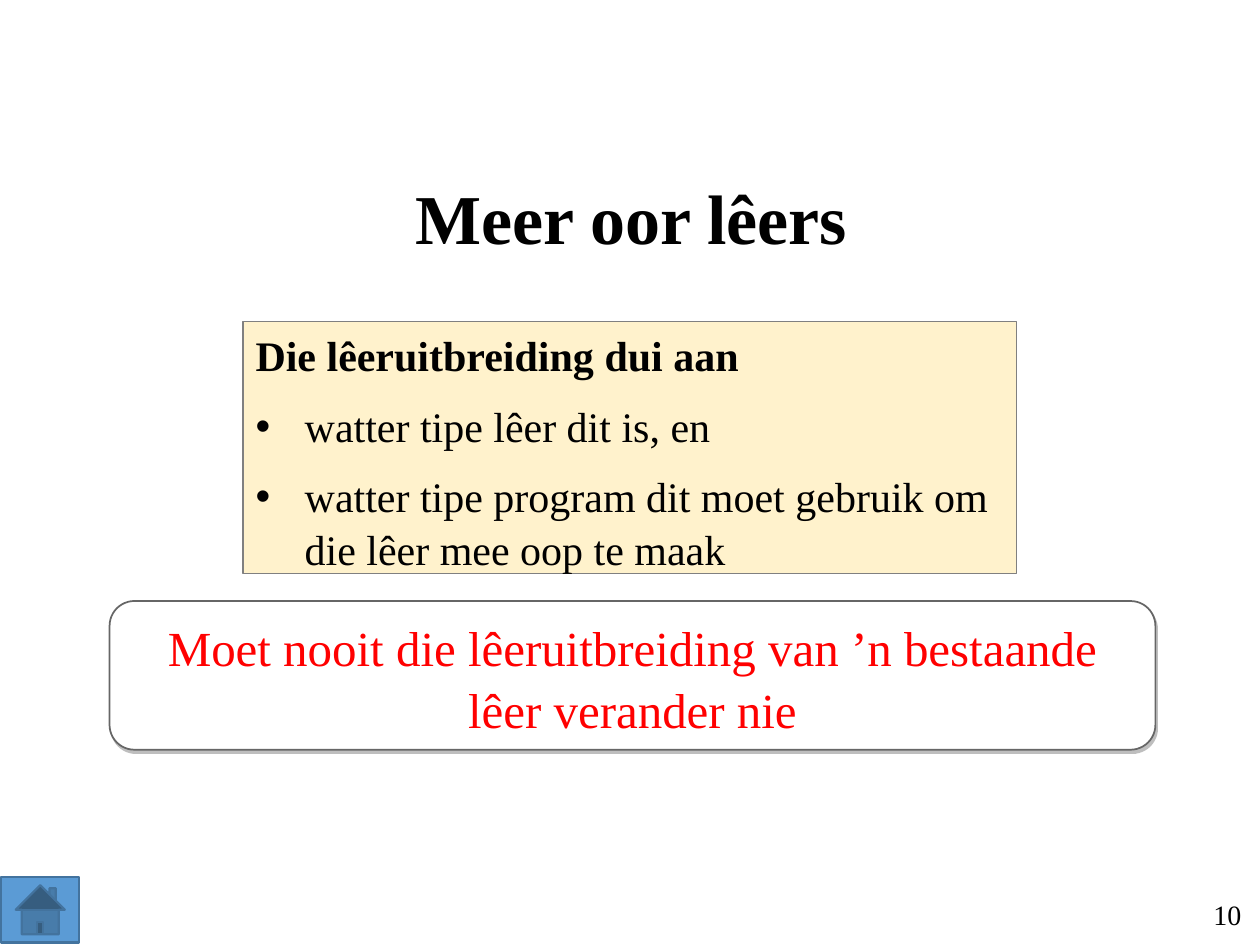
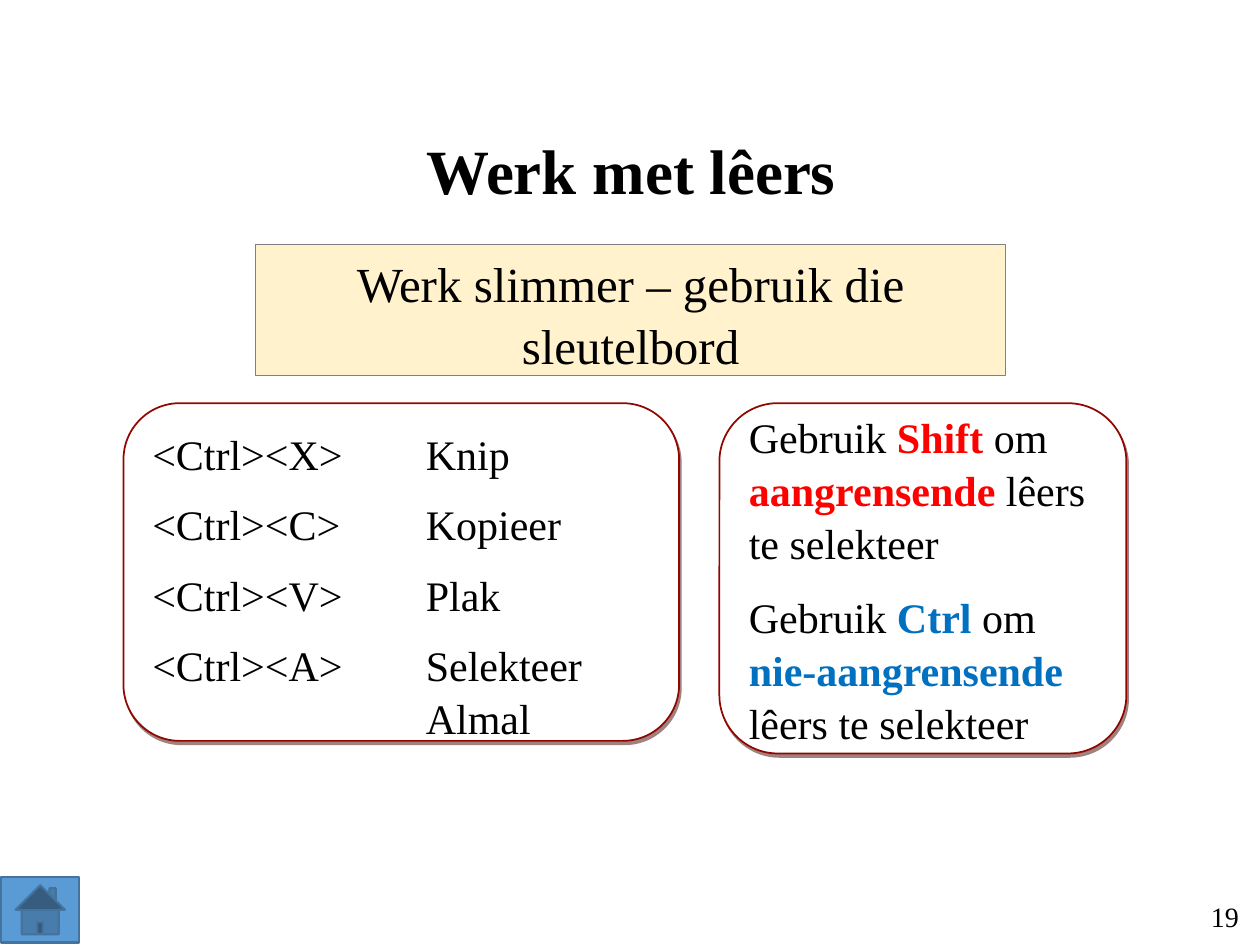
from dataclasses import dataclass

import lxml.etree
import pptx
import pptx.dml.color
import pptx.enum.shapes
import pptx.enum.text
import pptx.oxml.ns
import pptx.util

Inches = pptx.util.Inches
Pt = pptx.util.Pt
ShapeKind = pptx.enum.shapes.MSO_SHAPE
Align = pptx.enum.text.PP_ALIGN
Anchor = pptx.enum.text.MSO_ANCHOR


@dataclass(frozen=True)
class Theme:
    font: str = "Times New Roman"
    text: str = "000000"
    warning: str = "FF0000"
    accent: str = "0070C0"
    white: str = "FFFFFF"
    cream: str = "FFF2CC"
    cream_line: str = "808080"
    gray_line: str = "666666"
    gray_shadow: str = "7F7F7F"
    maroon_line: str = "900700"
    maroon_shadow: str = "410600"
    button: str = "5B9BD5"
    button_line: str = "43739E"
    body_size: int = 24
    banner_size: int = 28
    number_size: int = 16
    line_spacing: float = 1.05
    gap: int = 10
    wide_gap: int = 12


THEME = Theme()


def rgb(value):
    return pptx.dml.color.RGBColor.from_string(value)


def add_element(parent, tag, **attributes):
    element = lxml.etree.SubElement(parent, pptx.oxml.ns.qn(tag))
    for name, value in attributes.items():
        element.set(name, str(value))
    return element


def format_run(run, size, color=THEME.text, bold=False):
    run.font.name = THEME.font
    run.font.size = Pt(size)
    run.font.bold = bold
    run.font.color.rgb = rgb(color)


def add_bullet(paragraph):
    properties = paragraph._p.get_or_add_pPr()
    indent = Inches(0.39)
    properties.set("marL", str(indent))
    properties.set("indent", str(-indent))
    add_element(properties, "a:buFont", typeface="Arial")
    add_element(properties, "a:buChar", char="•")


def write_paragraphs(shape, paragraphs, size, align=Align.LEFT, anchor=Anchor.TOP,
                     gap=THEME.gap, color=THEME.text, bullets_from=None):
    text_frame = shape.text_frame
    text_frame.word_wrap = True
    text_frame.vertical_anchor = anchor
    for index, spans in enumerate(paragraphs):
        paragraph = text_frame.paragraphs[0] if index == 0 else text_frame.add_paragraph()
        paragraph.alignment = align
        paragraph.line_spacing = THEME.line_spacing
        paragraph.space_after = Pt(gap)
        if bullets_from is not None and index >= bullets_from:
            add_bullet(paragraph)
        if isinstance(spans, str):
            spans = [(spans, color, False)]
        for text, span_color, bold in spans:
            run = paragraph.add_run()
            run.text = text
            format_run(run, size, span_color, bold)


def add_label(slide, box, text, size, align, bold=False):
    shape = slide.shapes.add_textbox(*map(Inches, box))
    text_frame = shape.text_frame
    text_frame.word_wrap = True
    text_frame.vertical_anchor = Anchor.MIDDLE
    text_frame.text = text
    paragraph = text_frame.paragraphs[0]
    paragraph.alignment = align
    format_run(paragraph.runs[0], size, bold=bold)


def add_panel(slide, kind, box, fill, line, line_width):
    shape = slide.shapes.add_shape(kind, *map(Inches, box))
    shape.shadow.inherit = False
    shape.fill.solid()
    shape.fill.fore_color.rgb = rgb(fill)
    shape.line.color.rgb = rgb(line)
    shape.line.width = Pt(line_width)
    return shape


def add_cream_box(slide, box):
    return add_panel(slide, ShapeKind.RECTANGLE, box, THEME.cream, THEME.cream_line, 0.75)


def add_rounded_box(slide, box, line, shadow_color):
    shape = add_panel(slide, ShapeKind.ROUNDED_RECTANGLE, box, THEME.white, line, 1)
    effects = shape._element.spPr.find(pptx.oxml.ns.qn("a:effectLst"))
    shadow = add_element(effects, "a:outerShdw", blurRad=0, dist=Pt(2.2),
                         dir=63 * 60000, algn="ctr", rotWithShape=0)
    color = add_element(shadow, "a:srgbClr", val=shadow_color)
    add_element(color, "a:alpha", val=50000)
    return shape


def set_columns(shape, count, gap):
    properties = shape.text_frame._txBody.bodyPr
    properties.set("numCol", str(count))
    properties.set("spcCol", str(Inches(gap)))


def add_slide(presentation, title, title_height, title_size, number, number_box):
    slide = presentation.slides.add_slide(presentation.slide_layouts[6])
    add_label(slide, (1.29, 1, 7.44, title_height), title, title_size, Align.CENTER, bold=True)
    add_label(slide, number_box, number, THEME.number_size, Align.RIGHT)
    add_panel(slide, ShapeKind.ACTION_BUTTON_HOME, (0.01, 6.96, 0.62, 0.52),
              THEME.button, THEME.button_line, 1.25)
    return slide


def build_extension_slide(presentation):
    slide = add_slide(presentation, "Meer oor lêers", 1.43, 40, "10", (9.3, 7.1, 0.65, 0.32))
    warning = add_rounded_box(slide, (0.87, 4.77, 8.3, 1.18), THEME.gray_line, THEME.gray_shadow)
    write_paragraphs(
        warning, ["Moet nooit die lêeruitbreiding van ’n bestaande lêer verander nie"],
        THEME.banner_size, Align.CENTER, color=THEME.warning)
    extension = add_cream_box(slide, (1.93, 2.55, 6.14, 2))
    write_paragraphs(
        extension,
        [[("Die lêeruitbreiding dui aan", THEME.text, True)],
         "watter tipe lêer dit is, en",
         "watter tipe program dit moet gebruik om die lêer mee oop te maak"],
        THEME.body_size, bullets_from=1)


def selection_tip(key, kind, color, ending):
    return [("Gebruik ", THEME.text, False), (key, color, True), (" om ", THEME.text, False),
            (kind, color, True), (ending, THEME.text, False)]


def build_keyboard_slide(presentation):
    slide = add_slide(presentation, "Werk met lêers", 0.69, 36, "19", (9.5, 7.12, 0.43, 0.31))
    banner = add_cream_box(slide, (2.03, 1.94, 5.95, 1.04))
    write_paragraphs(banner, ["Werk slimmer – gebruik die sleutelbord"],
                     THEME.banner_size, Align.CENTER)

    shortcuts = add_rounded_box(slide, (0.98, 3.2, 4.41, 2.68),
                                THEME.maroon_line, THEME.maroon_shadow)
    set_columns(shortcuts, 2, 0.39)
    keys = [f"<Ctrl><{letter}>" for letter in "XCVA"]
    actions = ["Knip", "Kopieer", "Plak", "Selekteer Almal"]
    write_paragraphs(shortcuts, keys + actions, THEME.body_size)

    selection = add_rounded_box(slide, (5.71, 3.2, 3.23, 2.78),
                                THEME.maroon_line, THEME.maroon_shadow)
    tips = [
        selection_tip("Shift", "aangrensende ", THEME.warning, "lêers te selekteer"),
        selection_tip("Ctrl", "nie-aangrensende ", THEME.accent, "lêers te selekteer"),
    ]
    write_paragraphs(selection, tips, THEME.body_size, anchor=Anchor.MIDDLE, gap=THEME.wide_gap)


def main():
    presentation = pptx.Presentation()
    presentation.slide_width = Inches(10)
    presentation.slide_height = Inches(7.5)
    build_extension_slide(presentation)
    build_keyboard_slide(presentation)
    presentation.save("out.pptx")


if __name__ == "__main__":
    main()
